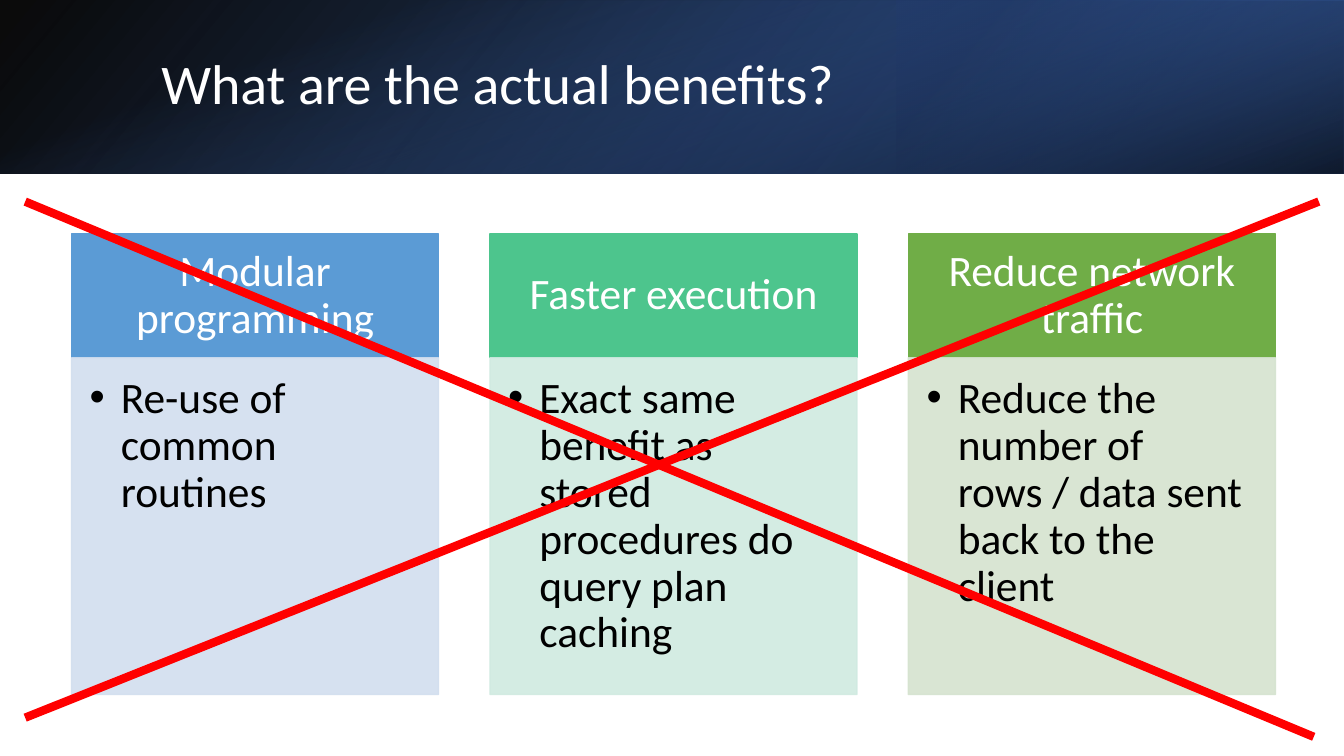
from dataclasses import dataclass

from lxml import etree
from pptx import Presentation
from pptx.dml.color import RGBColor
from pptx.enum import shapes, text
from pptx.oxml import parse_xml
from pptx.oxml.ns import nsdecls, qn
from pptx.util import Inches, Pt


@dataclass(frozen=True)
class Theme:
    font: str = "Calibri"
    head: int = 40
    body: int = 31
    white: str = "FFFFFF"
    black: str = "000000"
    cross: str = "FF0000"


theme = Theme()
rgb = RGBColor.from_string


def add_box(left, top, width, height):
    box = slide.shapes.add_shape(
        shapes.MSO_SHAPE.RECTANGLE, *map(Inches, (left, top, width, height)))
    box.shadow.inherit = False
    return box


def write(frame, words, size, color, align, anchor):
    """Put one styled run into the frame's first paragraph."""
    frame.word_wrap = True
    frame.auto_size = text.MSO_AUTO_SIZE.NONE
    frame.vertical_anchor = anchor
    para = frame.paragraphs[0]
    para.alignment = align
    para.line_spacing = 0.9
    run = para.add_run()
    run.text = words
    run.font.name = theme.font
    run.font.size = Pt(size)
    run.font.color.rgb = rgb(color)
    return para


deck = Presentation()
deck.slide_width, deck.slide_height = Inches(13.33), Inches(7.5)
slide = deck.slides.add_slide(deck.slide_layouts[5])

# Banner: place, turn, flip, angle, stops of (position, colour, opacity)
banner = [
    ((0, 0, 13.33, 1.72), 0, True, 140,
     [(0, "000000", 96), (100, "2F5597", 100)]),
    ((8.89, 0, 4.44, 1.72), 180, True, 320,
     [(19, "203864", 68), (100, "4472C4", 79)]),
    ((5.8, -5.8, 1.72, 13.33), 90, False, 340,
     [(23, "4472C4", 0), (99, "000000", 74)]),
]
for place, turn, flip, angle, stops in banner:
    band = add_box(*place)
    band.rotation = turn
    props = band.element.spPr
    if flip:
        props.xfrm.set("flipH", "1")
    marks = "".join(
        f'<a:gs pos="{pos * 1000}"><a:srgbClr val="{color}">'
        f'<a:alpha val="{alpha * 1000}"/></a:srgbClr></a:gs>'
        for pos, color, alpha in stops)
    props.insert(2, parse_xml(
        f'<a:gradFill {nsdecls("a")} rotWithShape="1"><a:gsLst>{marks}</a:gsLst>'
        f'<a:lin ang="{angle * 60000}" scaled="0"/></a:gradFill>'))
    band.line.fill.background()

# Title, brought in front of the banner
title = slide.shapes.title
title.left, title.top, title.width, title.height = map(
    Inches, (1.5, 0.38, 10.98, 0.96))
write(title.text_frame, "What are the actual benefits?", theme.head,
      theme.white, text.PP_ALIGN.LEFT, text.MSO_ANCHOR.MIDDLE)
slide.shapes.element.append(title.element)

# Benefit cards: heading, detail, strong colour, pale colour
cards = [
    ("Modular programming", "Re-use of common routines", "5B9BD5", "D2DEEF"),
    ("Faster execution",
     "Exact same benefit as stored procedures do query plan caching",
     "4DC58D", "D0EAE1"),
    ("Reduce network traffic",
     "Reduce the number of rows / data sent back to the client",
     "70AD47", "D5E3CF"),
]
for col, (name, detail, strong, pale) in enumerate(cards):
    left = 0.71 + col * 4.15
    head = add_box(left, 2.32, 3.64, 1.23)
    body = add_box(left, 3.55, 3.64, 3.34)
    for box, color, pads in ((head, strong, (0.24, 0.14, 0.24, 0.14)),
                             (body, pale, (0.18, 0.18, 0.24, 0.27))):
        box.fill.solid()
        box.fill.fore_color.rgb = rgb(color)
        box.line.color.rgb = rgb(color)
        box.line.width = Pt(1)
        frame = box.text_frame
        (frame.margin_left, frame.margin_top, frame.margin_right,
         frame.margin_bottom) = map(Inches, pads)
    for tint in body.element.spPr.iter(qn("a:srgbClr")):
        etree.SubElement(tint, qn("a:alpha"), val="90000")

    write(head.text_frame, name, theme.body, theme.white,
          text.PP_ALIGN.CENTER, text.MSO_ANCHOR.MIDDLE)
    para = write(body.text_frame, detail, theme.body, theme.black,
                 text.PP_ALIGN.LEFT, text.MSO_ANCHOR.TOP)
    props = para._p.get_or_add_pPr()
    props.set("marL", str(Inches(0.31)))
    props.set("indent", str(-Inches(0.31)))
    etree.SubElement(props, qn("a:buFont"), typeface="Arial")
    etree.SubElement(props, qn("a:buChar"), char="•")

# Red cross over the cards
for ends in ((0.25, 2, 13.03, 7.31), (0.25, 7.12, 13.08, 2)):
    line = slide.shapes.add_connector(
        shapes.MSO_CONNECTOR.STRAIGHT, *map(Inches, ends))
    line.line.color.rgb = rgb(theme.cross)
    line.line.width = Pt(6)
    etree.SubElement(line.element.spPr, qn("a:effectLst"))

deck.save("out.pptx")
